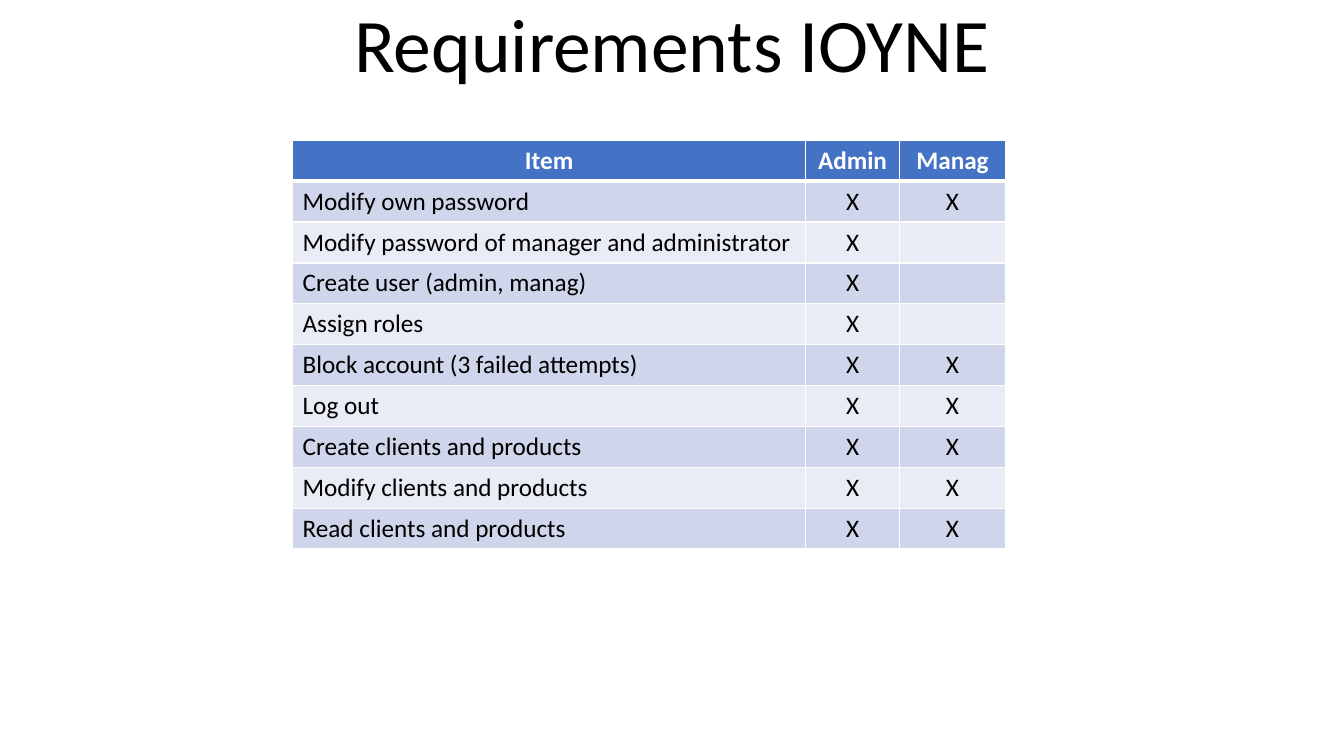
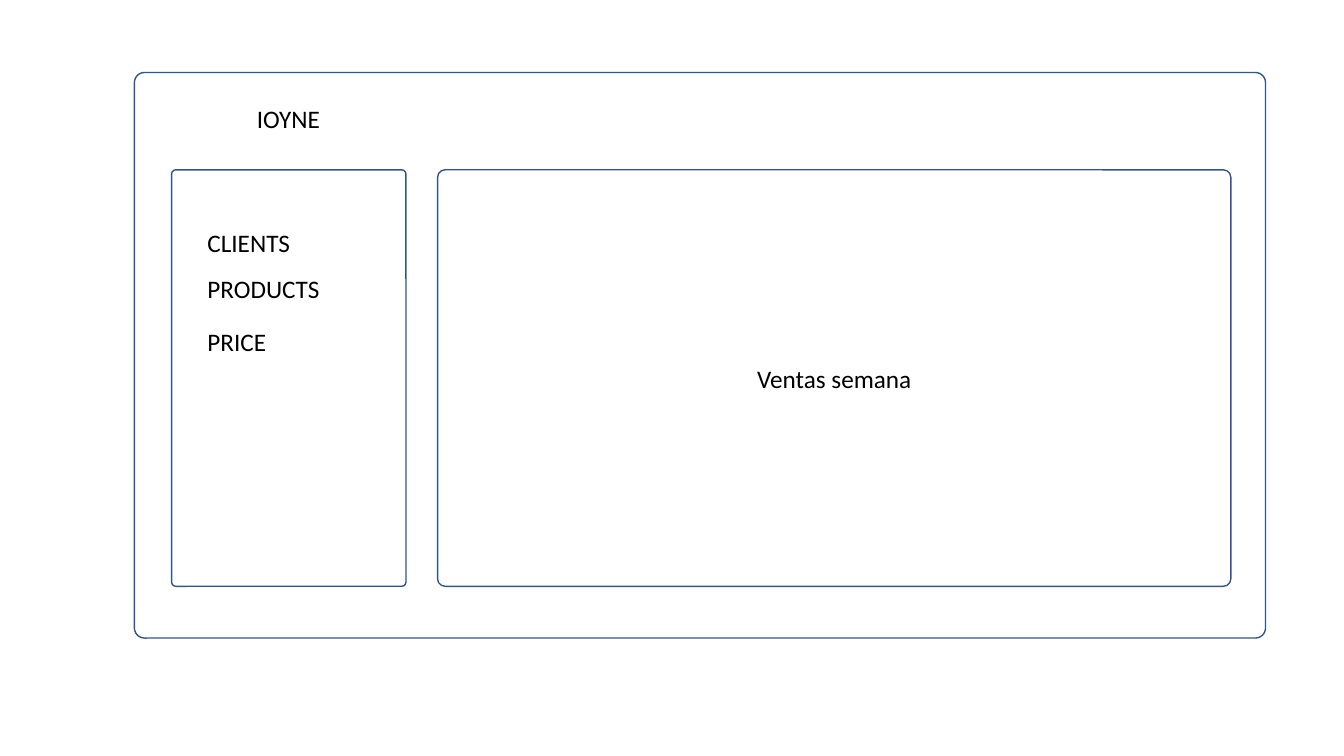
import dataclasses

import lxml.etree
import pptx
import pptx.dml.color
import pptx.enum.shapes
import pptx.enum.text
import pptx.oxml.ns
import pptx.presentation
import pptx.slide
import pptx.table
import pptx.text.text
import pptx.util

Pt = pptx.util.Pt
Align = pptx.enum.text.PP_ALIGN
Anchor = pptx.enum.text.MSO_ANCHOR

FONT = "Calibri"
BLACK = "000000"
WHITE = "FFFFFF"
HEADER_BLUE = "4472C4"
BAND_COLORS = ("CFD5EA", "E9EBF5")
OUTLINE_BLUE = "325491"

TITLE_ONLY_LAYOUT = 5
BLANK_LAYOUT = 6
CORNER_RATIO = 0.018

COLUMN_WIDTHS = (366.5, 67, 75.8)
ROW_HEIGHT = 29.2
THIN_BORDER = 1
HEADER_BORDER = 3


@dataclasses.dataclass(frozen=True)
class Requirement:
    item: str
    admin: bool = True
    manager: bool = True


@dataclasses.dataclass(frozen=True)
class Panel:
    left: float
    top: float
    width: float
    height: float
    text: str = ""


@dataclasses.dataclass(frozen=True)
class Label:
    text: str
    left: float
    top: float
    width: float


REQUIREMENTS = (
    Requirement("Modify own password"),
    Requirement("Modify password of manager and administrator", manager=False),
    Requirement("Create user (admin, manag)", manager=False),
    Requirement("Assign roles", manager=False),
    Requirement("Block account (3 failed attempts)"),
    Requirement("Log out"),
    Requirement("Create clients and products"),
    Requirement("Modify clients and products"),
    Requirement("Read clients and products"),
)

PANELS = (
    Panel(96, 51.8, 808, 404),
    Panel(122.6, 121.3, 167.4, 297.5),
    Panel(312.6, 121.3, 566.6, 297.5, "Ventas semana"),
)

MENU_LEFT = 141.1
LABELS = (
    Label("IOYNE", 176.4, 70, 59.8),
    Label("CLIENTS", MENU_LEFT, 159, 74.2),
    Label("PRODUCTS", MENU_LEFT, 191.7, 95),
    Label("PRICE", MENU_LEFT, 229.8, 56.9),
)


def rgb(color: str) -> pptx.dml.color.RGBColor:
    return pptx.dml.color.RGBColor.from_string(color)


def write_text(
    frame: pptx.text.text.TextFrame,
    text: str,
    *,
    size: float = 18,
    color: str = BLACK,
    bold: bool = False,
    align: Align = Align.LEFT,
    line_spacing: float = 1,
) -> None:
    para = frame.paragraphs[0]
    para.alignment = align
    para.line_spacing = line_spacing
    span = para.add_run()
    span.text = text
    span.font.name = FONT
    span.font.size = Pt(size)
    span.font.bold = bold
    span.font.color.rgb = rgb(color)


def set_border(cell: pptx.table._Cell, side: str, width: float) -> None:
    """Draw one white cell edge; side is L, R, T or B, called in that order."""
    qn = pptx.oxml.ns.qn
    properties = cell._tc.get_or_add_tcPr()
    line = lxml.etree.SubElement(properties, qn(f"a:ln{side}"), w=str(int(Pt(width))))
    fill = lxml.etree.SubElement(line, qn("a:solidFill"))
    lxml.etree.SubElement(fill, qn("a:srgbClr"), val=WHITE)


def add_title(slide: pptx.slide.Slide, text: str) -> None:
    title = slide.shapes.title
    title.left, title.top, title.width, title.height = Pt(120), Pt(0), Pt(720), Pt(67)
    title.text_frame.vertical_anchor = Anchor.BOTTOM
    write_text(title.text_frame, text, size=54, align=Align.CENTER, line_spacing=0.9)


def add_requirements_table(slide: pptx.slide.Slide, left: float, top: float) -> None:
    rows = [("Item", "Admin", "Manag")]
    for requirement in REQUIREMENTS:
        marks = ("X" if allowed else "" for allowed in (requirement.admin, requirement.manager))
        rows.append((requirement.item, *marks))

    table = slide.shapes.add_table(
        len(rows), len(COLUMN_WIDTHS), Pt(left), Pt(top),
        Pt(sum(COLUMN_WIDTHS)), Pt(ROW_HEIGHT * len(rows)),
    ).table
    for column, width in zip(table.columns, COLUMN_WIDTHS):
        column.width = Pt(width)

    for row_index, texts in enumerate(rows):
        table.rows[row_index].height = Pt(ROW_HEIGHT)
        is_header = row_index == 0
        fill_color = HEADER_BLUE if is_header else BAND_COLORS[(row_index - 1) % 2]
        borders = {
            "L": THIN_BORDER,
            "R": THIN_BORDER,
            "T": HEADER_BORDER if row_index == 1 else THIN_BORDER,
            "B": HEADER_BORDER if is_header else THIN_BORDER,
        }
        for column_index, text in enumerate(texts):
            cell = table.cell(row_index, column_index)
            for side, width in borders.items():
                set_border(cell, side, width)
            cell.fill.solid()
            cell.fill.fore_color.rgb = rgb(fill_color)
            write_text(
                cell.text_frame,
                text,
                color=WHITE if is_header else BLACK,
                bold=is_header,
                align=Align.CENTER if is_header or column_index else Align.LEFT,
            )


def add_panel(slide: pptx.slide.Slide, panel: Panel) -> None:
    box = slide.shapes.add_shape(
        pptx.enum.shapes.MSO_SHAPE.ROUNDED_RECTANGLE,
        Pt(panel.left), Pt(panel.top), Pt(panel.width), Pt(panel.height),
    )
    box.adjustments[0] = CORNER_RATIO
    box.shadow.inherit = False
    box.fill.background()
    box.line.color.rgb = rgb(OUTLINE_BLUE)
    box.line.width = Pt(1)
    if panel.text:
        box.text_frame.vertical_anchor = Anchor.MIDDLE
        write_text(box.text_frame, panel.text, align=Align.CENTER)


def add_label(slide: pptx.slide.Slide, label: Label) -> None:
    box = slide.shapes.add_textbox(Pt(label.left), Pt(label.top), Pt(label.width), Pt(29))
    box.text_frame.word_wrap = False
    box.text_frame.auto_size = pptx.enum.text.MSO_AUTO_SIZE.SHAPE_TO_FIT_TEXT
    write_text(box.text_frame, label.text)


def build_requirements_slide(deck: pptx.presentation.Presentation) -> None:
    slide = deck.slides.add_slide(deck.slide_layouts[TITLE_ONLY_LAYOUT])
    add_title(slide, "Requirements IOYNE")
    add_requirements_table(slide, left=209, top=100.2)


def build_wireframe_slide(deck: pptx.presentation.Presentation) -> None:
    slide = deck.slides.add_slide(deck.slide_layouts[BLANK_LAYOUT])
    for panel in PANELS:
        add_panel(slide, panel)
    for label in LABELS:
        add_label(slide, label)


def main() -> None:
    deck = pptx.Presentation()
    deck.slide_width, deck.slide_height = Pt(960), Pt(540)
    build_requirements_slide(deck)
    build_wireframe_slide(deck)
    deck.save("out.pptx")


if __name__ == "__main__":
    main()
